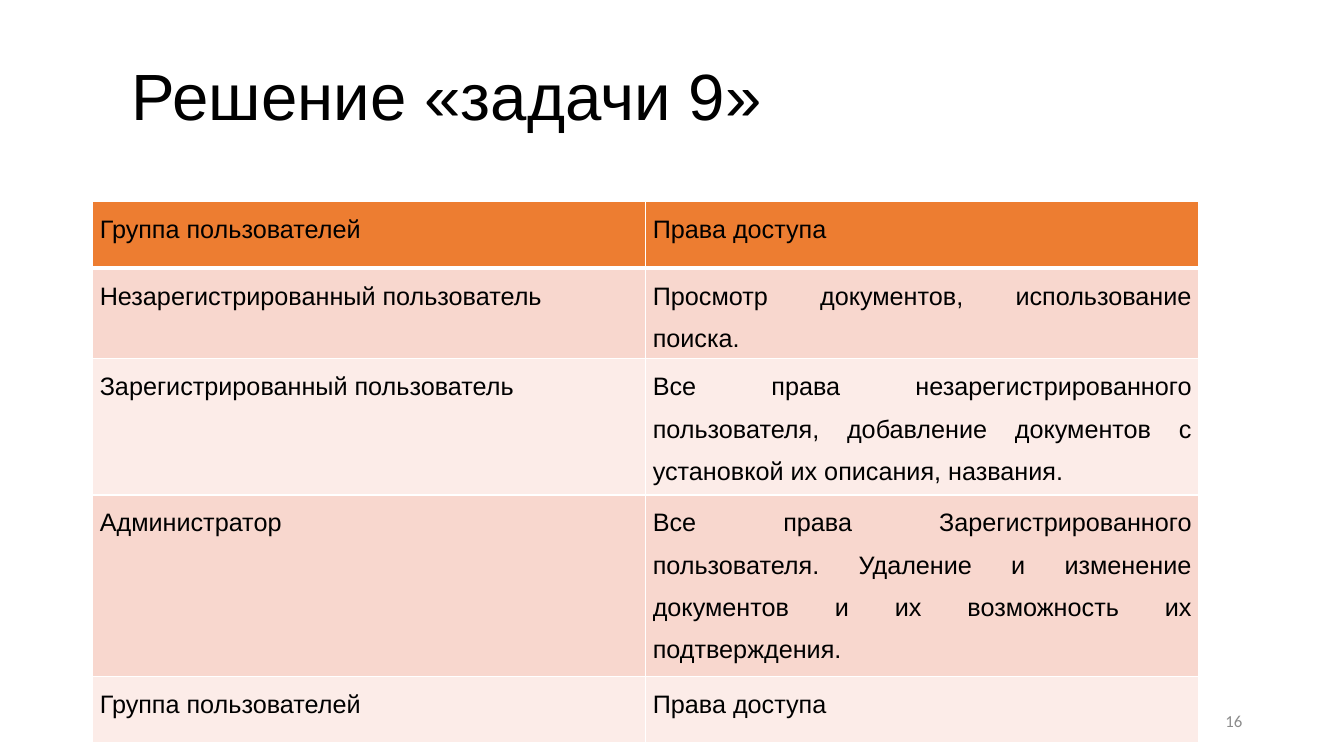
from dataclasses import dataclass

from lxml import etree
from pptx import Presentation
from pptx.dml.color import RGBColor
from pptx.enum.text import MSO_ANCHOR, PP_ALIGN
from pptx.oxml.ns import qn
from pptx.util import Inches, Pt

JUSTIFY, LEFT, RIGHT = PP_ALIGN.JUSTIFY, PP_ALIGN.LEFT, PP_ALIGN.RIGHT
TOP, MIDDLE = MSO_ANCHOR.TOP, MSO_ANCHOR.MIDDLE


@dataclass(frozen=True)
class Theme:
    text: str = "000000"
    muted: str = "8C8C8C"
    header: str = "ED7D31"
    bands: tuple = ("F8D7CE", "FCECE8")
    border: str = "FFFFFF"
    font: str = "Arial"
    number_font: str = "Calibri"
    title_size: float = 46.7
    table_size: float = 18
    number_size: float = 12


THEME = Theme()


def write(frame, text, size, align, spacing=1.0, color=THEME.text, font=THEME.font):
    frame.word_wrap = True
    paragraph = frame.paragraphs[0]
    paragraph.alignment = align
    paragraph.line_spacing = spacing
    run = paragraph.add_run()
    run.text = text
    run.font.size = Pt(size)
    run.font.name = font
    run.font.bold = False
    run.font.color.rgb = RGBColor.from_string(color)


def add_border(cell, side, width):
    line = etree.SubElement(cell._tc.get_or_add_tcPr(), qn(f"a:ln{side}"), w=str(Pt(width)))
    fill = etree.SubElement(line, qn("a:solidFill"))
    etree.SubElement(fill, qn("a:srgbClr"), val=THEME.border)


prs = Presentation()
prs.slide_width, prs.slide_height = Inches(13.33), Inches(7.5)
slide = prs.slides.add_slide(prs.slide_layouts[6])

# Title
title = slide.shapes.add_textbox(Inches(1.21), Inches(0.53), Inches(11.9), Inches(0.91)).text_frame
title.vertical_anchor = MIDDLE
write(title, "Решение «задачи 9»", THEME.title_size, LEFT, spacing=0.9)

# Slide number
number = slide.shapes.add_textbox(Inches(9.42), Inches(6.95), Inches(3), Inches(0.4)).text_frame
number.vertical_anchor = MIDDLE
write(number, "16", THEME.number_size, RIGHT, color=THEME.muted, font=THEME.number_font)

# Access rights: row height, user group, rights
access_rows = [
    (0.66, "Группа пользователей", "Права доступа"),
    (0.79, "Незарегистрированный пользователь", "Просмотр документов, использование поиска."),
    (1.21, "Зарегистрированный пользователь",
     "Все права незарегистрированного пользователя, добавление документов "
     "с установкой их описания, названия."),
    (1.63, "Администратор",
     "Все права Зарегистрированного пользователя. Удаление и изменение "
     "документов и их возможность их подтверждения."),
    (0.66, "Группа пользователей", "Права доступа"),
]
access = slide.shapes.add_table(
    len(access_rows), 2, Inches(0.92), Inches(2), Inches(10.97), Inches(4.95)).table
for column in access.columns:
    column.width = Inches(10.97 / 2)

for row_index, (height, *texts) in enumerate(access_rows):
    access.rows[row_index].height = Inches(height)
    is_header = row_index == 0
    background = THEME.header if is_header else THEME.bands[(row_index - 1) % 2]
    for column_index, text in enumerate(texts):
        cell = access.cell(row_index, column_index)
        cell.margin_left = cell.margin_right = Inches(0.07)
        cell.margin_top = cell.margin_bottom = 0
        cell.vertical_anchor = TOP
        for side in "LRTB":
            add_border(cell, side, 3 if is_header and side == "B" else 1)
        cell.fill.solid()
        cell.fill.fore_color.rgb = RGBColor.from_string(background)
        write(cell.text_frame, text, THEME.table_size, JUSTIFY, spacing=1.5)

prs.save("out.pptx")
